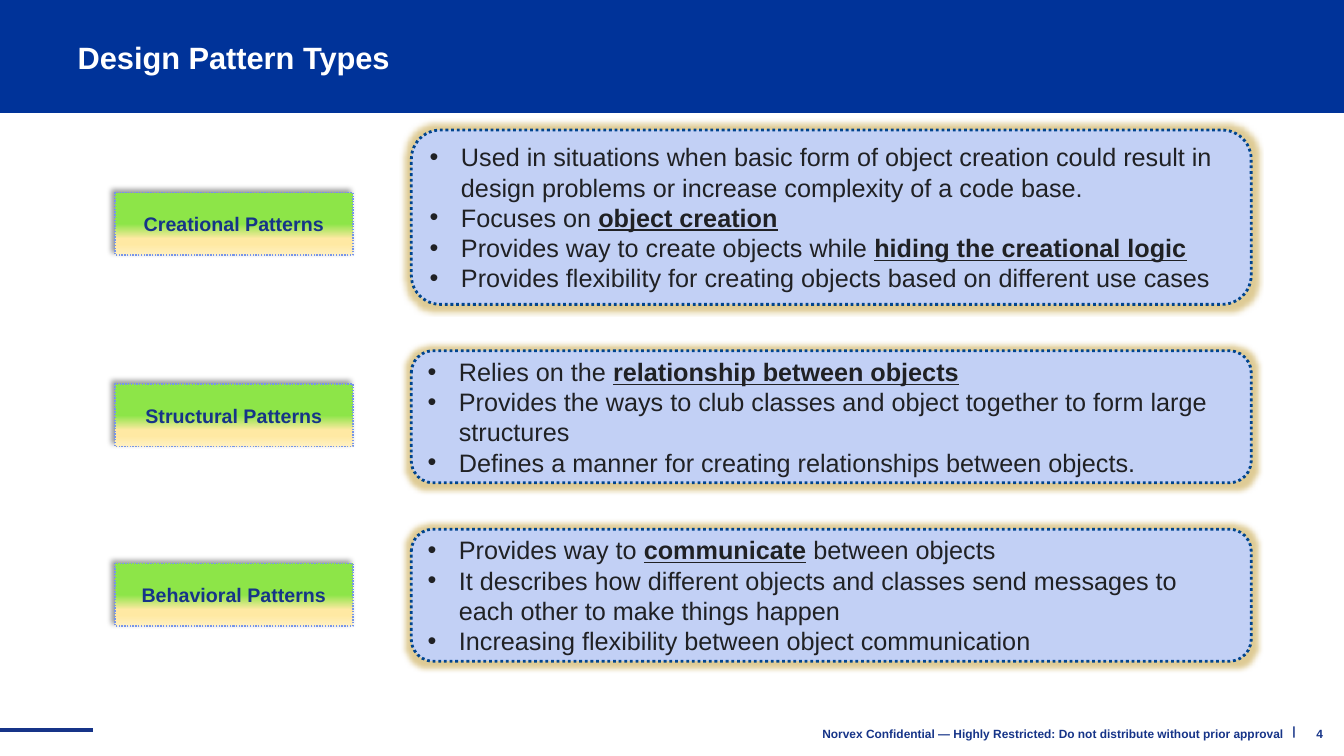
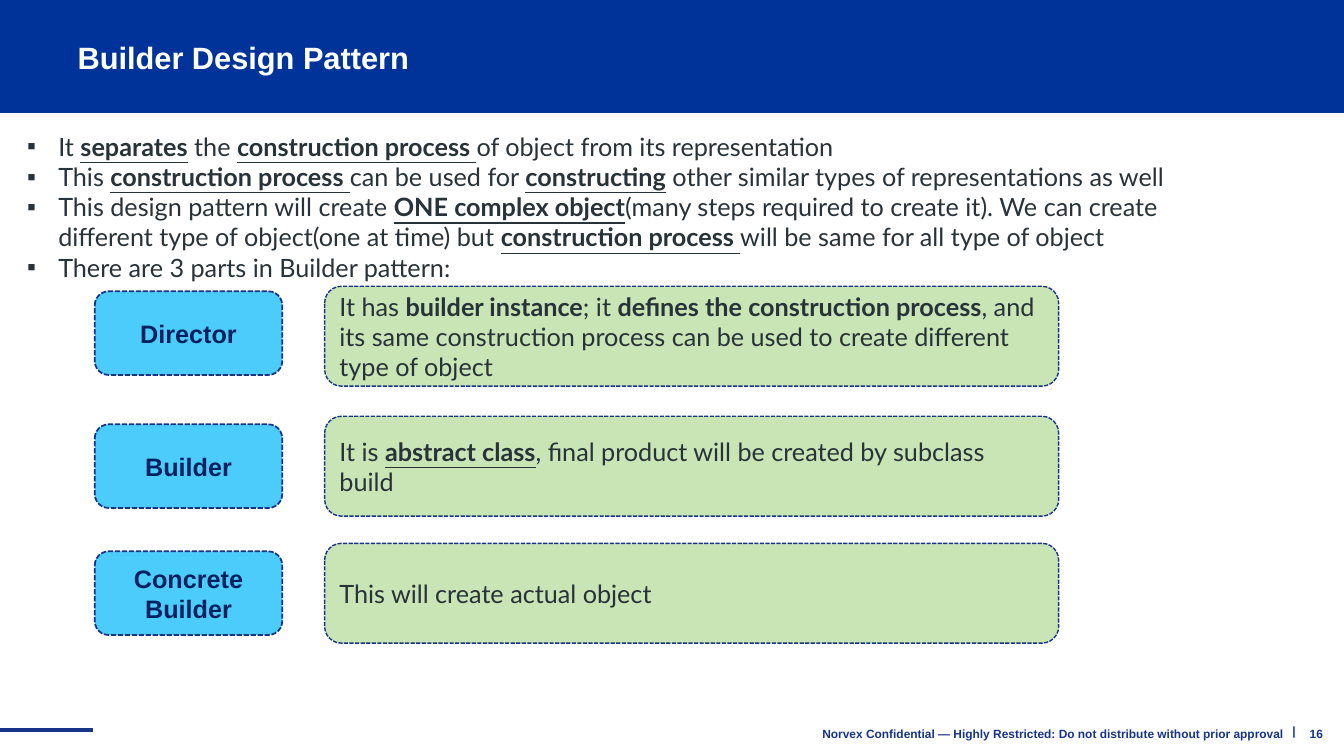
from dataclasses import dataclass

from lxml.etree import SubElement
from pptx import Presentation
from pptx.dml.color import RGBColor
from pptx.enum.dml import MSO_LINE
from pptx.enum.shapes import MSO_CONNECTOR, MSO_SHAPE
from pptx.enum.text import MSO_ANCHOR, MSO_AUTO_SIZE, PP_ALIGN
from pptx.oxml.ns import qn
from pptx.shapes.autoshape import Shape
from pptx.slide import Slide, SlideLayout
from pptx.text.text import TextFrame
from pptx.util import Inches, Length, Pt

WHITE = RGBColor(0xFF, 0xFF, 0xFF)
BLACK = RGBColor(0x00, 0x00, 0x00)
BAND_BLUE = RGBColor(0x00, 0x33, 0x99)
NAVY = RGBColor(0x16, 0x34, 0x88)
DEEP_NAVY = RGBColor(0x00, 0x20, 0x60)
PERIWINKLE = RGBColor(0x77, 0x95, 0xE9)
PALE_BLUE = RGBColor(0xC2, 0xD0, 0xF5)
TEAL_BLUE = RGBColor(0x00, 0x44, 0x8E)
SKY = RGBColor(0x4C, 0xCC, 0xFB)
PALE_GREEN = RGBColor(0xC9, 0xE4, 0xB5)
LIME = RGBColor(0x8D, 0xE5, 0x48)
SAND = RGBColor(0xFF, 0xE9, 0xA3)
CREAM = RGBColor(0xFF, 0xF1, 0xC2)
GOLD = RGBColor(0xC9, 0xA9, 0x4F)
CHARCOAL = RGBColor(0x20, 0x21, 0x24)
SLATE = RGBColor(0x27, 0x32, 0x39)

LABEL_GRADIENT = ((50, LIME), (74, SAND), (83, SAND), (100, CREAM))
CONFIDENTIALITY = "Norvex Confidential — Highly Restricted: Do not distribute without prior approval"
BULLET_INDENT = Inches(0.31)


@dataclass(frozen=True)
class BoxStyle:
    left: Length
    width: Length
    preset: MSO_SHAPE
    fill: RGBColor
    outline: RGBColor
    outline_width: Length
    dash: MSO_LINE


@dataclass(frozen=True)
class Row:
    """One label with its explanation; tops and heights are in inches."""
    label: str
    label_top: float
    details: tuple[str, ...]
    details_top: float
    details_height: float


TYPE_LABEL = BoxStyle(Inches(1.14), Inches(2.36), MSO_SHAPE.RECTANGLE, LIME,
                      PERIWINKLE, Pt(1), MSO_LINE.ROUND_DOT)
TYPE_DETAILS = BoxStyle(Inches(4.08), Inches(8.33), MSO_SHAPE.ROUNDED_RECTANGLE, PALE_BLUE,
                        TEAL_BLUE, Pt(2), MSO_LINE.ROUND_DOT)
PART_LABEL = BoxStyle(Inches(0.94), Inches(1.86), MSO_SHAPE.ROUNDED_RECTANGLE, SKY,
                      NAVY, Pt(1.25), MSO_LINE.SQUARE_DOT)
PART_DETAILS = BoxStyle(Inches(3.22), Inches(7.28), MSO_SHAPE.ROUNDED_RECTANGLE, PALE_GREEN,
                        NAVY, Pt(1), MSO_LINE.SQUARE_DOT)

# In texts, *stars* mark bold and _underscores_ mark bold underlined words.
PATTERN_TYPES = (
    Row("Creational Patterns", 1.91, (
        "Used in situations when basic form of object creation could result in "
        "design problems or increase complexity of a code base.",
        "Focuses on _object creation_",
        "Provides way to create objects while _hiding the creational logic_",
        "Provides flexibility for creating objects based on different use cases",
    ), 1.29, 1.73),
    Row("Structural Patterns", 3.81, (
        "Relies on the _relationship between objects_",
        "Provides the ways to club classes and object together to form large structures",
        "Defines a manner for creating relationships between objects.",
    ), 3.48, 1.31),
    Row("Behavioral Patterns", 5.59, (
        "Provides way to _communicate_ between objects",
        "It describes how different objects and classes send messages to each other "
        "to make things happen",
        "Increasing flexibility between object communication",
    ), 5.25, 1.31),
)
BUILDER_POINTS = (
    "It _separates_ the _construction process _of object from its representation",
    "This _construction process _can be used for _constructing_ other similar types "
    "of representations as well",
    "This design pattern will create _ONE complex object_(many steps required to create it). "
    "We can create different type of object(one at time) but _construction process _"
    "will be same for all type of object",
    "There are 3 parts in Builder pattern:",
)
BUILDER_PARTS = (
    Row("Director", 2.89, (
        "It has *builder instance*; it *defines the construction process*, and its same "
        "construction process can be used to create different type of object",
    ), 2.84, 0.99),
    Row("Builder", 4.21, (
        "It is _abstract class_, final product will be created by subclass build",
    ), 4.13, 0.99),
    Row("Concrete Builder", 5.47, ("This will create actual object",), 5.39, 0.99),
)


def write_text(frame: TextFrame, *texts: str, size: float, color: RGBColor, font: str = "Arial",
               bold: bool = False, align: PP_ALIGN = PP_ALIGN.LEFT, bullet: str = "",
               anchor: MSO_ANCHOR = MSO_ANCHOR.MIDDLE, line_spacing: float = 1.0) -> None:
    """Write one paragraph per text, turning the emphasis marks into formatted runs."""
    frame.word_wrap = True
    frame.auto_size = MSO_AUTO_SIZE.NONE
    frame.vertical_anchor = anchor
    for index, text in enumerate(texts):
        paragraph = frame.add_paragraph() if index else frame.paragraphs[0]
        paragraph.alignment = align
        paragraph.line_spacing = line_spacing
        if bullet:
            properties = paragraph._p.get_or_add_pPr()
            properties.set("marL", str(BULLET_INDENT))
            properties.set("indent", str(-BULLET_INDENT))
            SubElement(properties, qn("a:buFont"), typeface="Arial")
            SubElement(properties, qn("a:buChar"), char=bullet)
        for star_index, starred in enumerate(text.split("*")):
            for line_index, words in enumerate(starred.split("_")):
                if not words:
                    continue
                run = paragraph.add_run()
                run.text = words
                underlined = line_index % 2 == 1
                run.font.name = font
                run.font.size = Pt(size)
                run.font.color.rgb = color
                run.font.bold = bold or underlined or star_index % 2 == 1
                run.font.underline = underlined


def add_text(slide: Slide, left: float, top: float, width: float, height: float,
             *texts: str, **text_format) -> Shape:
    box = slide.shapes.add_textbox(Inches(left), Inches(top), Inches(width), Inches(height))
    write_text(box.text_frame, *texts, **text_format)
    return box


def add_box(slide: Slide, style: BoxStyle, top: float, height: float,
            *texts: str, **text_format) -> Shape:
    box = slide.shapes.add_shape(style.preset, style.left, Inches(top), style.width, Inches(height))
    box.shadow.inherit = False
    box.fill.solid()
    box.fill.fore_color.rgb = style.fill
    box.line.color.rgb = style.outline
    box.line.width = style.outline_width
    box.line.dash_style = style.dash
    write_text(box.text_frame, *texts, **text_format)
    return box


def apply_label_gradient(box: Shape) -> None:
    box.fill.gradient()
    box.fill.gradient_angle = 270
    stops = box.element.spPr.find(qn("a:gradFill")).find(qn("a:gsLst"))
    for stop in list(stops):
        stops.remove(stop)
    for percent, color in LABEL_GRADIENT:
        stop = SubElement(stops, qn("a:gs"), pos=str(percent * 1000))
        SubElement(stop, qn("a:srgbClr"), val=str(color))


def add_effect(box: Shape, tag: str, color: RGBColor, opacity: int, **attributes: str) -> None:
    effects = box.element.spPr.find(qn("a:effectLst"))
    effect = SubElement(effects, qn(tag), **attributes)
    tint = SubElement(effect, qn("a:srgbClr"), val=str(color))
    SubElement(tint, qn("a:alpha"), val=str(opacity * 1000))


def furnish_layout(layout: SlideLayout, slide: Slide) -> None:
    """Draw the shared band and footer on a slide, then move them to its layout."""
    band = slide.shapes.add_shape(MSO_SHAPE.RECTANGLE, 0, 0, Inches(13.33), Inches(1.12))
    band.shadow.inherit = False
    band.fill.solid()
    band.fill.fore_color.rgb = BAND_BLUE
    band.line.fill.background()

    footer_rule = slide.shapes.add_connector(
        MSO_CONNECTOR.STRAIGHT, 0, Inches(7.24), Inches(0.92), Inches(7.24))
    footer_rule.line.color.rgb = NAVY
    footer_rule.line.width = Pt(3)
    SubElement(footer_rule.element.spPr, qn("a:effectLst"))

    divider = add_text(slide, 12.71, 7.05, 0.25, 0.4, "|", size=8.5, color=NAVY, bold=True,
                       align=PP_ALIGN.CENTER)
    confidentiality = add_text(slide, 6.24, 7.08, 6.59, 0.39, CONFIDENTIALITY, size=8.5,
                               color=NAVY, bold=True, align=PP_ALIGN.RIGHT)
    for shape_id, shape in enumerate((band, footer_rule, divider, confidentiality), 100):
        shape.element.xpath("./*[1]/p:cNvPr")[0].set("id", str(shape_id))
        layout.shapes.element.append(shape.element)


def add_titled_slide(deck, layout: SlideLayout, heading: str, number: int,
                     title_width: float) -> Slide:
    slide = deck.slides.add_slide(layout)
    title = slide.shapes.title
    title.left, title.top = Inches(0.67), Inches(0.28)
    title.width, title.height = Inches(title_width), Inches(0.62)
    write_text(title.text_frame, heading, size=22, color=WHITE, bold=True, line_spacing=0.9)
    add_text(slide, 12.59, 7.08, 0.63, 0.4, str(number), size=8.5, color=NAVY, bold=True,
             align=PP_ALIGN.RIGHT)
    return slide


def draw_pattern_types(slide: Slide) -> None:
    for row in PATTERN_TYPES:
        label = add_box(slide, TYPE_LABEL, row.label_top, 0.62, row.label, size=14,
                        color=NAVY, bold=True, align=PP_ALIGN.CENTER)
        apply_label_gradient(label)
        add_effect(label, "a:outerShdw", BLACK, 40, blurRad=str(Pt(4)), dist=str(Pt(3)),
                   dir=str(225 * 60000), algn="br", rotWithShape="0")
        details = add_box(slide, TYPE_DETAILS, row.details_top, row.details_height,
                          *row.details, size=18, color=CHARCOAL, bullet="•")
        add_effect(details, "a:glow", GOLD, 60, rad=str(Pt(8)))


def draw_builder_pattern(slide: Slide) -> None:
    add_text(slide, 0.17, 1.25, 12.14, 1.62, *BUILDER_POINTS, size=18, color=SLATE,
             font="Lato", bullet="▪", anchor=MSO_ANCHOR.TOP)
    for row in BUILDER_PARTS:
        add_box(slide, PART_LABEL, row.label_top, 0.83, row.label, size=18,
                color=DEEP_NAVY, bold=True, align=PP_ALIGN.CENTER)
        add_box(slide, PART_DETAILS, row.details_top, row.details_height, *row.details,
                size=18, color=SLATE, font="Lato")


def main() -> None:
    deck = Presentation()
    deck.slide_width, deck.slide_height = Inches(13.33), Inches(7.5)
    title_only = deck.slide_layouts[5]

    types_slide = add_titled_slide(deck, title_only, "Design Pattern Types", 4, 11.75)
    furnish_layout(title_only, types_slide)
    draw_pattern_types(types_slide)

    builder_slide = add_titled_slide(deck, title_only, "Builder Design Pattern", 16, 3.59)
    draw_builder_pattern(builder_slide)
    deck.save("out.pptx")


if __name__ == "__main__":
    main()
